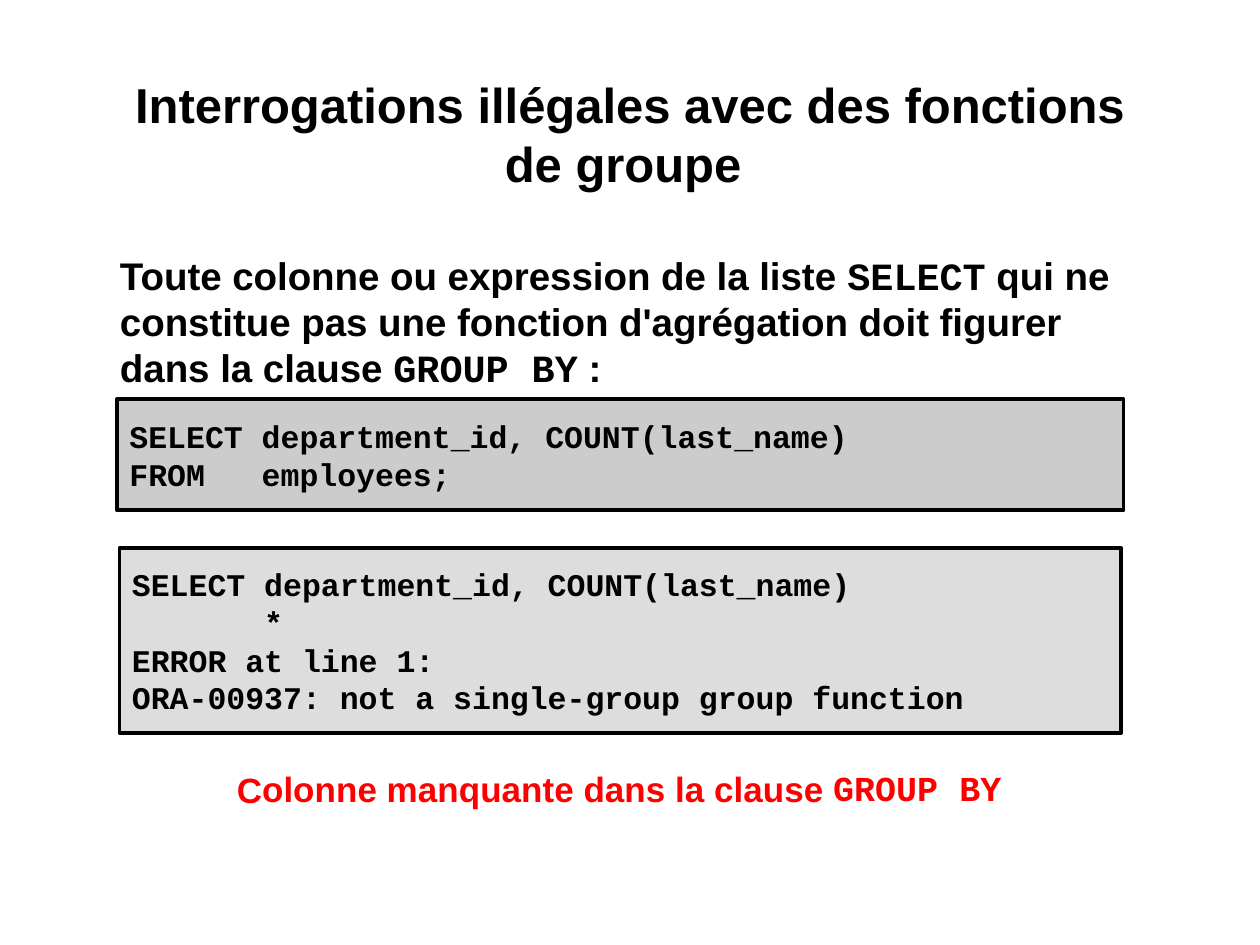
"""Build a slide on illegal queries that use SQL group functions."""
import collections

import pptx
import pptx.dml.color
import pptx.enum.shapes
import pptx.enum.text
import pptx.util

Cm = pptx.util.Cm
Align = pptx.enum.text.PP_ALIGN
Anchor = pptx.enum.text.MSO_ANCHOR
Theme = collections.namedtuple(
    "Theme", "ink alert query result prose code title_size body_size code_size note_size border")
theme = Theme(
    ink="000000", alert="FF0000", query="CCCCCC", result="DDDDDD",
    prose="Arial", code="Courier New",
    title_size=28, body_size=22, code_size=18, note_size=20, border=2.25)


def rgb(value):
    return pptx.dml.color.RGBColor.from_string(value)


def write(shape, lines, size, color, align, margins, anchor):
    frame = shape.text_frame
    frame_format = {
        "word_wrap": True, "vertical_anchor": anchor,
        "margin_left": Cm(margins[0]), "margin_right": Cm(margins[0]),
        "margin_top": Cm(margins[1]), "margin_bottom": Cm(margins[1])}
    for name, value in frame_format.items():
        setattr(frame, name, value)
    for index, line in enumerate(lines):
        paragraph = frame.add_paragraph() if index else frame.paragraphs[0]
        paragraph.alignment = align
        for text, font_name in line:
            run = paragraph.add_run()
            run.text = text
            font_format = {"name": font_name, "size": pptx.util.Pt(size), "bold": True}
            for name, value in font_format.items():
                setattr(run.font, name, value)
            run.font.color.rgb = rgb(color)


presentation = pptx.Presentation()
presentation.slide_width = Cm(25.4)
presentation.slide_height = Cm(19.05)
slide = presentation.slides.add_slide(presentation.slide_layouts[6])

tight, roomy = (0.03, 0.03), (0.25, 0.13)
title = [("Interrogations illégales avec des fonctions de groupe ", theme.prose)]
rule = [
    ("Toute colonne ou expression de la liste ", theme.prose),
    ("SELECT", theme.code),
    (" qui ne constitue pas une fonction d'agrégation doit figurer dans la clause ", theme.prose),
    ("GROUP BY", theme.code),
    (" :", theme.prose)]
note = [("Colonne manquante dans la clause ", theme.prose), ("GROUP BY", theme.code)]
texts = [
    ((2.54, 1.47, 20.32, 2.44), title, theme.title_size, theme.ink, Align.CENTER, tight, 0),
    ((2.39, 5.05, 20.47, 2.87), rule, theme.body_size, theme.ink, Align.LEFT, tight, 0),
    ((3.3, 15.34, 18.36, 1.09), note, theme.note_size, theme.alert, Align.CENTER, roomy, -0.1)]
for bounds, line, size, color, align, margins, rotation in texts:
    text_box = slide.shapes.add_textbox(*map(Cm, bounds))
    text_box.rotation = rotation
    write(text_box, [line], size, color, align, margins, Anchor.TOP)

statement = "SELECT department_id, COUNT(last_name)"
listings = [
    ((2.36, 8.05, 20.29, 2.24), theme.query, [statement, "FROM   employees;"]),
    ((2.41, 11.05, 20.19, 3.73), theme.result, [
        statement,
        "       *",
        "ERROR at line 1:",
        "ORA-00937: not a single-group group function"])]
for bounds, fill, code_lines in listings:
    panel = slide.shapes.add_shape(
        pptx.enum.shapes.MSO_SHAPE.RECTANGLE, *map(Cm, bounds))
    panel.shadow.inherit = False
    panel.fill.solid()
    panel.fill.fore_color.rgb = rgb(fill)
    panel.line.color.rgb = rgb(theme.ink)
    panel.line.width = pptx.util.Pt(theme.border)
    write(panel, [[(text, theme.code)] for text in code_lines],
          theme.code_size, theme.ink, Align.LEFT, roomy, Anchor.MIDDLE)

presentation.save("out.pptx")
